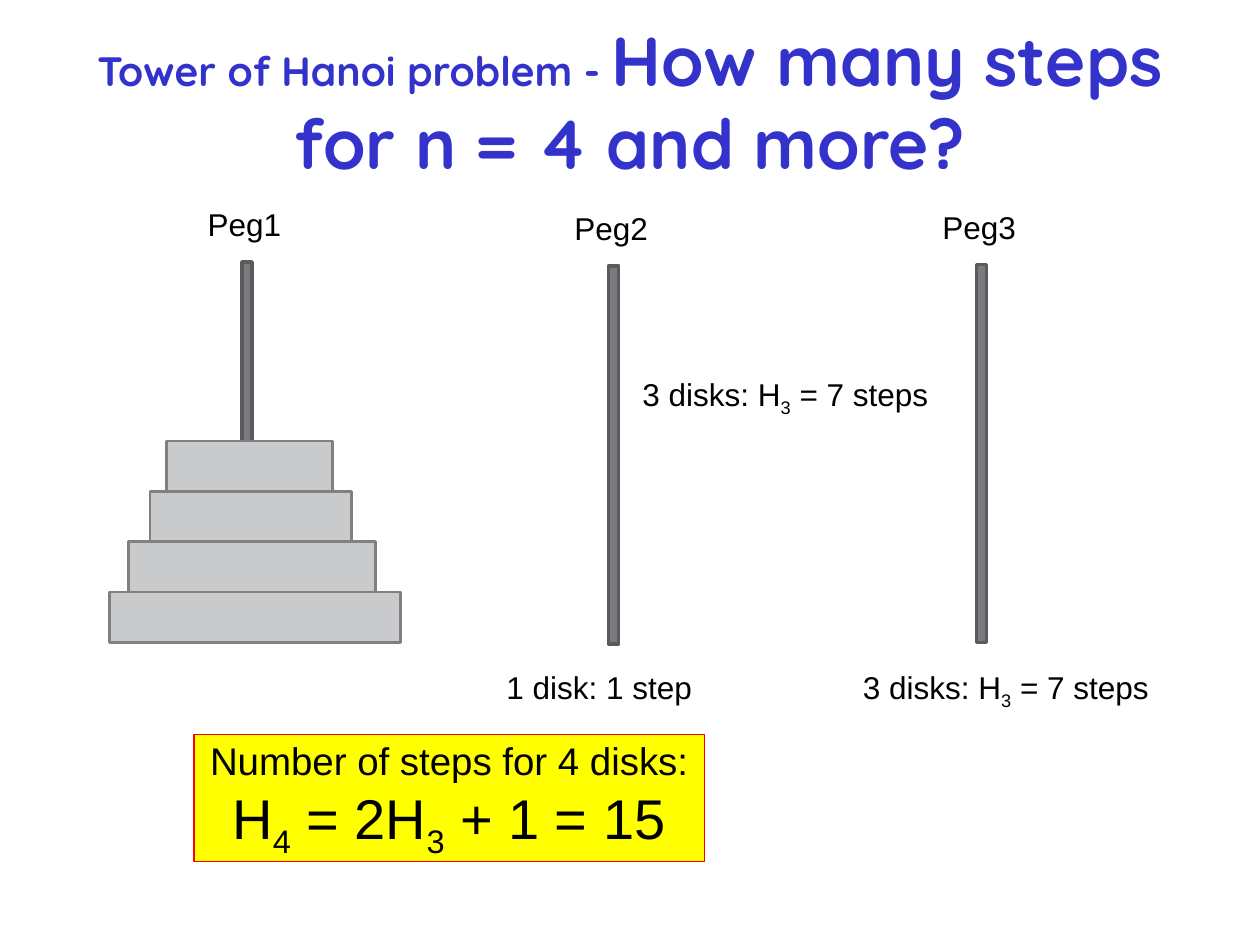
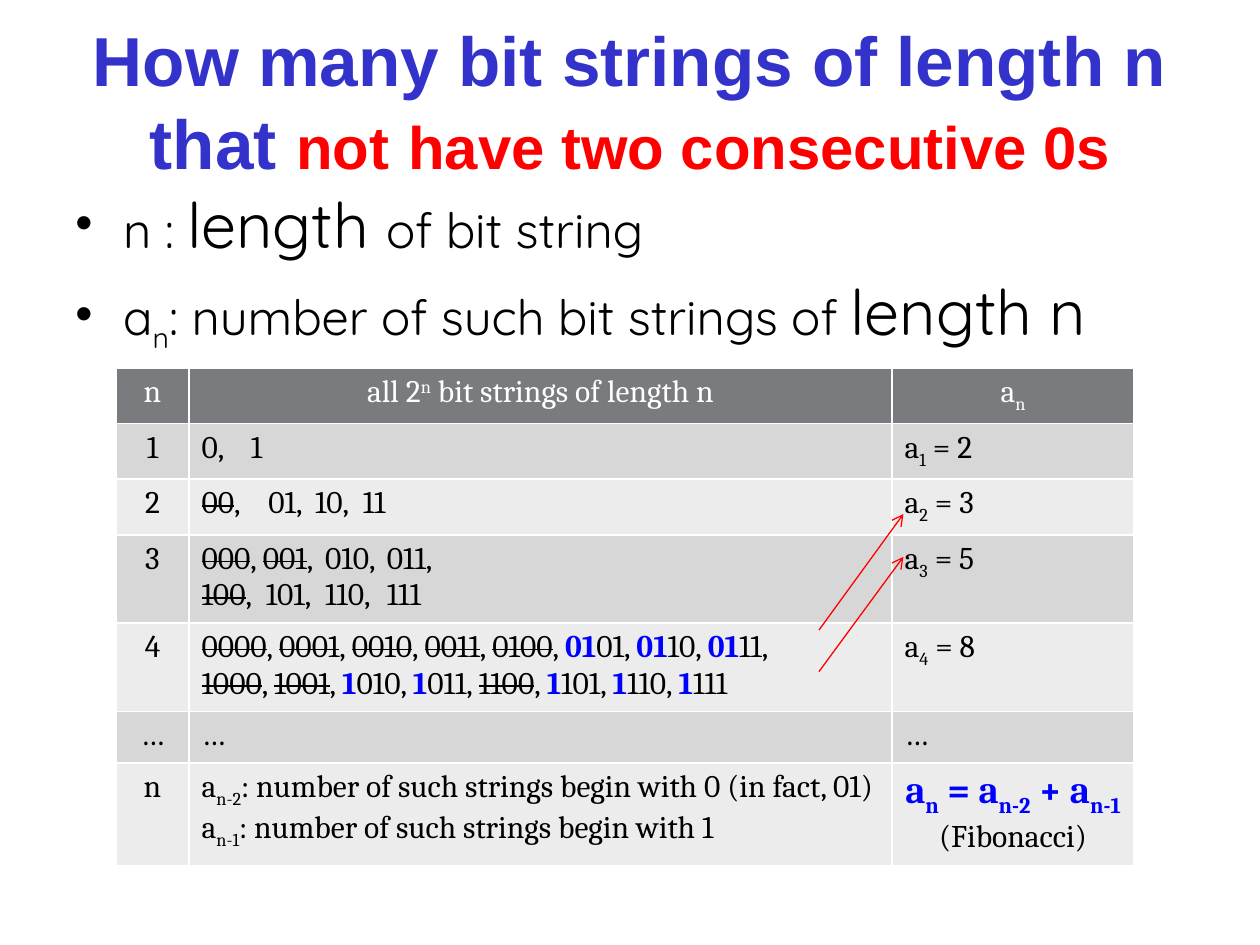
from dataclasses import dataclass
from typing import Any, Optional

from lxml import etree
from pptx import Presentation
from pptx import util as u
from pptx.dml.color import RGBColor
from pptx.enum import shapes, text
from pptx.oxml import ns

CENTER = text.PP_ALIGN.CENTER
LEFT = text.PP_ALIGN.LEFT


@dataclass(frozen=True)
class Theme:
    sans: str = "Arial"
    serif: str = "Cambria"
    rounded: str = "Quicksand"
    black: str = "000000"
    white: str = "FFFFFF"
    title: str = "3333CC"
    red: str = "FF0000"
    blue: str = "0000FF"
    yellow: str = "FFFF00"
    peg: str = "797B7E"
    peg_line: str = "5A5B5D"
    disk: str = "C9CACB"
    disk_line: str = "808080"
    bands: tuple[str, str] = ("D7D7D8", "ECECEC")
    title_size: float = 39.6
    title_mid: float = 34.2
    title_small: float = 23.4
    body_size: float = 28
    body_large: float = 36
    formula_size: float = 32
    emphasis_size: float = 22
    text_size: float = 18


T = Theme()
MARKS: dict[str, dict[str, str]] = {
    "_": {"baseline": "-25000"},
    "^": {"baseline": "30000"},
    "~": {"strike": "sngStrike"},
    "*": {},
}


@dataclass(frozen=True)
class Span:
    text: str
    size: float = T.text_size
    color: str = T.black
    font: str = T.sans
    bold: bool = False


@dataclass(frozen=True)
class Line:
    spans: tuple[Span, ...]
    align: Any = LEFT
    tabs: tuple[float, ...] = ()
    bullet: bool = False


@dataclass(frozen=True)
class Box:
    left: float
    top: float
    width: float
    height: float

    def lengths(self) -> list[u.Length]:
        return [u.Inches(v) for v in (self.left, self.top, self.width, self.height)]


@dataclass(frozen=True)
class Peg:
    name: str
    left: float
    top: float


@dataclass(frozen=True)
class Disk:
    left: float
    width: float


@dataclass(frozen=True)
class Row:
    height: float
    n: str
    strings: tuple[str, ...]
    count: str
    tabs: tuple[float, ...] = ()


def apply(obj: Any, fmt: dict[str, Any]) -> None:
    for name, value in fmt.items():
        setattr(obj, name, value)


def rgb(color: str) -> RGBColor:
    return RGBColor.from_string(color)


def add_run(p: Any, span: Span, content: str, mark: str) -> None:
    r = p.add_run()
    r.text = content
    accent = mark == "*"
    apply(r.font, {"name": span.font, "size": u.Pt(span.size), "bold": span.bold or accent})
    r.font.color.rgb = rgb(T.blue if accent else span.color)
    for name, value in MARKS.get(mark, {}).items():
        r.font._element.set(name, value)


def add_span(p: Any, span: Span) -> None:
    content, mark = "", ""
    for char in span.text:
        if char in MARKS:
            if content:
                add_run(p, span, content, mark)
            content, mark = "", "" if mark else char
        else:
            content += char
    if content:
        add_run(p, span, content, mark)


def write(tf: Any, lines: list[Line]) -> None:
    for i, line in enumerate(lines):
        p = tf.add_paragraph() if i else tf.paragraphs[0]
        p.alignment = line.align
        pPr = p._p.get_or_add_pPr()
        if line.bullet:
            p.space_before = u.Pt(7)
            indent = u.Inches(0.38)
            pPr.set("marL", str(indent))
            pPr.set("indent", str(-indent))
            etree.SubElement(pPr, ns.qn("a:buFont"), typeface=T.sans)
            etree.SubElement(pPr, ns.qn("a:buChar"), char="•")
        if line.tabs:
            stops = etree.SubElement(pPr, ns.qn("a:tabLst"))
            for stop in line.tabs:
                etree.SubElement(stops, ns.qn("a:tab"), pos=str(u.Inches(stop)), algn="l")
        for span in line.spans:
            add_span(p, span)


def add_text(s: Any, box: Box, lines: list[Line], wrap: bool = False,
             anchor: Any = text.MSO_ANCHOR.TOP) -> None:
    tf = s.shapes.add_textbox(*box.lengths()).text_frame
    apply(tf, {"word_wrap": wrap, "vertical_anchor": anchor})
    write(tf, lines)


def add_title(s: Any, *spans: Span) -> None:
    add_text(s, Box(0.5, 0.17, 9, 1.25), [Line(spans, CENTER)], True, text.MSO_ANCHOR.MIDDLE)


def add_label(s: Any, left: float, top: float, width: float, content: str) -> None:
    add_text(s, Box(left, top, width, 0.4), [Line((Span(content),))])


def add_rect(s: Any, box: Box, fill: str, line: str, weight: float) -> Any:
    sp = s.shapes.add_shape(shapes.MSO_SHAPE.RECTANGLE, *box.lengths())
    sp.shadow.inherit = False
    sp.fill.solid()
    sp.fill.fore_color.rgb = rgb(fill)
    sp.line.color.rgb = rgb(line)
    sp.line.width = u.Pt(weight)
    return sp


def add_arrow(s: Any, x1: float, y1: float, x2: float, y2: float) -> None:
    ends = [u.Inches(v) for v in (x1, y1, x2, y2)]
    c = s.shapes.add_connector(shapes.MSO_CONNECTOR.STRAIGHT, *ends)
    c.line.color.rgb = rgb(T.red)
    c.line.width = u.Pt(0.75)
    etree.SubElement(c.line._get_or_add_ln(), ns.qn("a:tailEnd"), type="arrow")
    etree.SubElement(c._element.spPr, ns.qn("a:effectLst"))


def fill_cell(cell: Any, fill: str, lines: list[Line]) -> None:
    cell.fill.solid()
    cell.fill.fore_color.rgb = rgb(fill)
    write(cell.text_frame, lines)
    tcPr = cell._tc.get_or_add_tcPr()
    for i, side in enumerate(("lnL", "lnR", "lnT", "lnB")):
        ln = etree.Element(ns.qn(f"a:{side}"), w=str(u.Pt(1)))
        solid = etree.SubElement(ln, ns.qn("a:solidFill"))
        etree.SubElement(solid, ns.qn("a:srgbClr"), val=T.white)
        tcPr.insert(i, ln)


def serif(content: str, align: Any = LEFT, tabs: tuple[float, ...] = (),
          **style: Any) -> Line:
    return Line((Span(content, font=T.serif, **style),), align, tabs)


def build_hanoi(s: Any) -> None:
    for peg in (Peg("Peg1", 1.92, 2.08), Peg("Peg2", 4.83, 2.11), Peg("Peg3", 7.75, 2.1)):
        add_rect(s, Box(peg.left, peg.top, 0.08, 3), T.peg, T.peg_line, 2)
        add_label(s, peg.left - 0.37, peg.top - 0.5, 0.79, peg.name)
    add_title(s, Span("Tower of Hanoi problem - ", T.title_small, T.title, T.rounded, True),
              Span("How many steps for n = 4 and more?", T.title_size, T.title, T.rounded, True))
    for left, top in ((6.75, 5.25), (5, 2.93)):
        add_label(s, left, top, 2.5, "3 disks: H_3_ = 7 steps")
    add_label(s, 3.92, 5.25, 1.69, "1 disk: 1 step")
    disks = (Disk(1.32, 1.32), Disk(1.19, 1.6), Disk(1.02, 1.96), Disk(0.87, 2.31))
    for i, disk in reversed(list(enumerate(disks))):
        add_rect(s, Box(disk.left, 3.5 + 0.4 * i, disk.width, 0.4), T.disk, T.disk_line, 1.5)
    tf = add_rect(s, Box(1.54, 5.83, 4.05, 1.01), T.yellow, T.red, 0.75).text_frame
    tf.word_wrap = False
    write(tf, [Line((Span("Number of steps for 4 disks:", T.emphasis_size),), CENTER),
               Line((Span("H_4_ = 2H_3_ + 1 = 15", T.formula_size),), CENTER)])


ROWS = (
    Row(0.42, "1", ("0,\t1",), "a_1_ = 2", (0.39,)),
    Row(0.42, "2", ("~00~,\t01,\t10,\t11",), "a_2_ = 3", (0.53, 0.9, 1.28)),
    Row(0.68, "3", ("~000~, ~001~,\t010,\t011,", "~100~,\t101,\t110,\t111"), "a_3_ = 5",
        (0.51, 0.98, 1.47)),
    Row(0.68, "4", ("~0000~, ~0001~, ~0010~, ~0011~, ~0100~, *01*01, *01*10, *01*11,",
                    "~1000~, ~1001~, *1*010, *1*011, ~1100~, *1*101, *1*110, *1*111"),
        "a_4_ = 8"),
    Row(0.41, "…", ("…",), "…"),
    Row(0.78, "n", ("a_n-2_: number of such strings begin with 0 (in fact, 01)",
                    "a_n-1_: number of such strings begin with 1"), ""),
)


def add_strings_table(s: Any) -> None:
    widths, header_height = (0.58, 5.58, 1.92), 0.42
    heights = [header_height] + [row.height for row in ROWS]
    box = Box(0.92, 2.92, sum(widths), sum(heights))
    table = s.shapes.add_table(len(heights), len(widths), *box.lengths()).table
    for column, width in zip(table.columns, widths):
        column.width = u.Inches(width)
    for row, height in zip(table.rows, heights):
        row.height = u.Inches(height)
    for j, heading in enumerate(("n", "all 2^n^ bit strings of length n", "a_n_")):
        fill_cell(table.cell(0, j), T.peg, [serif(heading, CENTER, color=T.white)])
    recurrence = [serif("a_n_ = a_n-2_ + a_n-1_", CENTER, size=T.emphasis_size,
                        color=T.blue, bold=True),
                  serif("(Fibonacci)", CENTER)]
    for i, row in enumerate(ROWS):
        cells = ([serif(row.n, CENTER)],
                 [serif(line, tabs=row.tabs) for line in row.strings],
                 [serif(row.count)] if row.count else recurrence)
        for j, lines in enumerate(cells):
            fill_cell(table.cell(i + 1, j), T.bands[i % 2], lines)


def body(content: str, size: Optional[float] = None) -> Span:
    return Span(content, size or T.body_size, font=T.rounded)


def build_bit_strings(s: Any) -> None:
    add_title(s, Span("How many bit strings of length n that ", T.title_size, T.title, bold=True),
              Span("not", T.title_mid, T.red, bold=True),
              Span(" ", T.title_size, T.red, bold=True),
              Span("have two consecutive 0s", T.title_mid, T.red, bold=True))
    add_text(s, Box(0.5, 1.42, 9, 4.95), [
        Line((body("n : "), body("length ", T.body_large), body("of bit string")), bullet=True),
        Line((body("a_n_: number of such bit strings of "), body("length n", T.body_large)),
             bullet=True),
    ], True)
    add_strings_table(s)
    add_arrow(s, 6.5, 5, 7.17, 4.08)
    add_arrow(s, 6.5, 5.33, 7.17, 4.42)


def main() -> None:
    prs = Presentation()
    apply(prs, {"slide_width": u.Inches(10), "slide_height": u.Inches(7.5)})
    for build in (build_hanoi, build_bit_strings):
        build(prs.slides.add_slide(prs.slide_layouts[6]))
    prs.save("out.pptx")


main()
